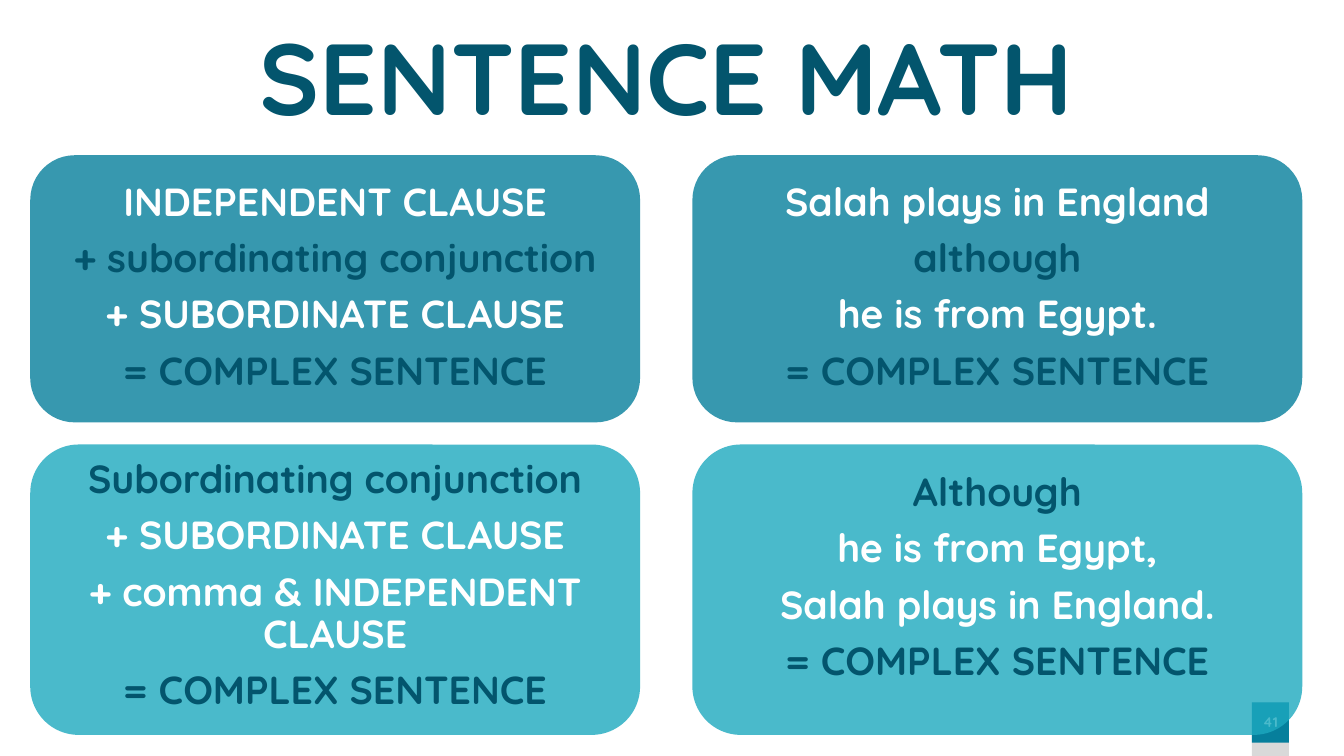
from lxml import etree
from pptx import Presentation
from pptx.dml.color import RGBColor
from pptx.enum.shapes import MSO_SHAPE
from pptx.enum.text import MSO_ANCHOR, MSO_AUTO_SIZE, PP_ALIGN
from pptx.oxml.ns import qn
from pptx.util import Pt

RECTANGLE = MSO_SHAPE.RECTANGLE
ROUNDED = MSO_SHAPE.ROUNDED_RECTANGLE
TOP, MIDDLE = MSO_ANCHOR.TOP, MSO_ANCHOR.MIDDLE
CENTER = PP_ALIGN.CENTER
FIXED = MSO_AUTO_SIZE.NONE

COLORS = {
    "navy": "03556D",
    "white": "FFFFFF",
    "teal": "067F9C",
    "aqua": "1DA9BF",
    "gray": "D9D9D9",
}
CARD_WIDTH = 435.6
TEXT_INSET = 15.8

deck = Presentation()
deck.slide_width, deck.slide_height = Pt(960), Pt(540)
page = deck.slides.add_slide(deck.slide_layouts[5])


def add_block(kind, left, top, width, height, color, opacity=100):
    block = page.shapes.add_shape(kind, Pt(left), Pt(top), Pt(width), Pt(height))
    block.shadow.inherit = False
    block.line.fill.background()
    block.fill.solid()
    block.fill.fore_color.rgb = RGBColor.from_string(COLORS[color])
    if opacity < 100:
        tint = block.fill._xPr.find(".//" + qn("a:srgbClr"))
        etree.SubElement(tint, qn("a:alpha")).set("val", str(opacity * 1000))
    return block


def write_line(text, frame, size, color, first=True):
    para = frame.paragraphs[0] if first else frame.add_paragraph()
    para.alignment = CENTER
    para.line_spacing = 0.9
    para.space_before = Pt(0 if first else 10)
    span = para.add_run()
    span.text = text
    span.font.name = "Quicksand"
    span.font.size = Pt(size)
    span.font.bold = True
    span.font.color.rgb = RGBColor.from_string(COLORS[color])


title = page.shapes.title
title.left, title.top, title.width, title.height = Pt(21.6), Pt(16.6), Pt(908.6), Pt(46)
title.text_frame.auto_size = FIXED
title.text_frame.vertical_anchor = TOP
title.text_frame.word_wrap = True
write_line("SENTENCE MATH", title.text_frame, size=72, color="navy")

add_block(RECTANGLE, 894.2, 501.8, 26.6, 38.2, "gray")
badge = add_block(RECTANGLE, 894.2, 501.8, 26.6, 28.8, "teal")
badge.text_frame.margin_left = badge.text_frame.margin_right = 0
badge.text_frame.vertical_anchor = MIDDLE
write_line("41", badge.text_frame, size=10, color="white")

LEFT, RIGHT = 21.6, 494.6
UPPER = (110.9, 190.8, "teal")
LOWER = (317.5, 207.4, "aqua")
RESULT = ("= COMPLEX SENTENCE", "navy")
cards = [
    (LEFT, UPPER, 126.7, [
        ("INDEPENDENT CLAUSE", "white"),
        ("+ subordinating conjunction", "navy"),
        ("+ SUBORDINATE CLAUSE", "white"),
    ]),
    (RIGHT, UPPER, 126.7, [
        ("Salah plays in England", "white"),
        ("although", "navy"),
        ("he is from Egypt.", "white"),
    ]),
    (LEFT, LOWER, 324.7, [
        ("Subordinating conjunction", "navy"),
        ("+ SUBORDINATE CLAUSE", "white"),
        ("+ comma & INDEPENDENT CLAUSE", "white"),
    ]),
    (RIGHT, LOWER, 334.1, [
        ("Although", "navy"),
        ("he is from Egypt,", "white"),
        ("Salah plays in England.", "white"),
    ]),
]
for left, (top, height, fill), text_top, lines in cards:
    add_block(ROUNDED, left, top, CARD_WIDTH, height, fill, opacity=80)
    box = page.shapes.add_textbox(Pt(left + TEXT_INSET), Pt(text_top),
                                  Pt(CARD_WIDTH - 2 * TEXT_INSET), Pt(36.7))
    box.text_frame.word_wrap = True
    box.text_frame.vertical_anchor = TOP
    for index, (text, color) in enumerate(lines + [RESULT]):
        write_line(text, box.text_frame, size=28, color=color, first=index == 0)

deck.save("out.pptx")
